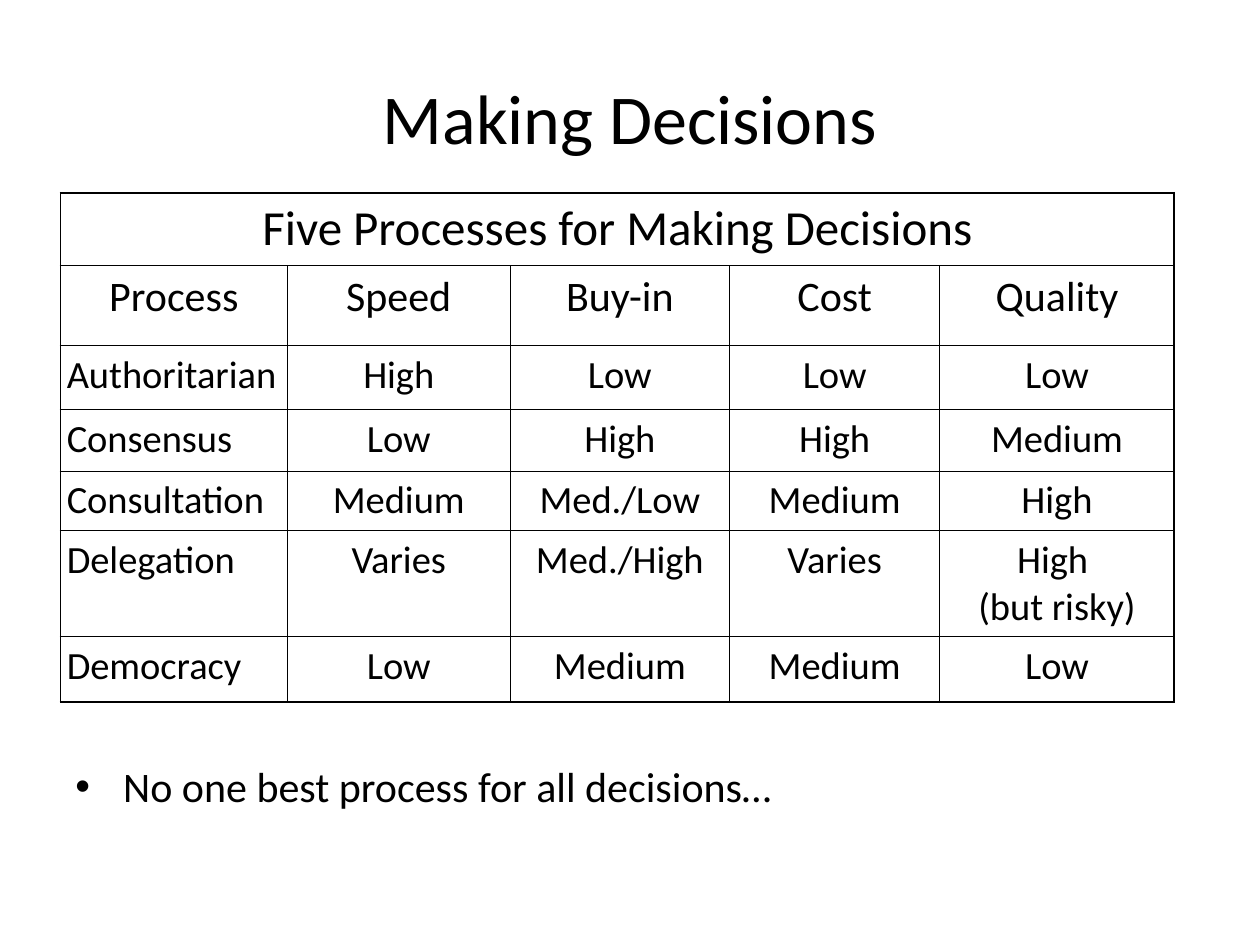
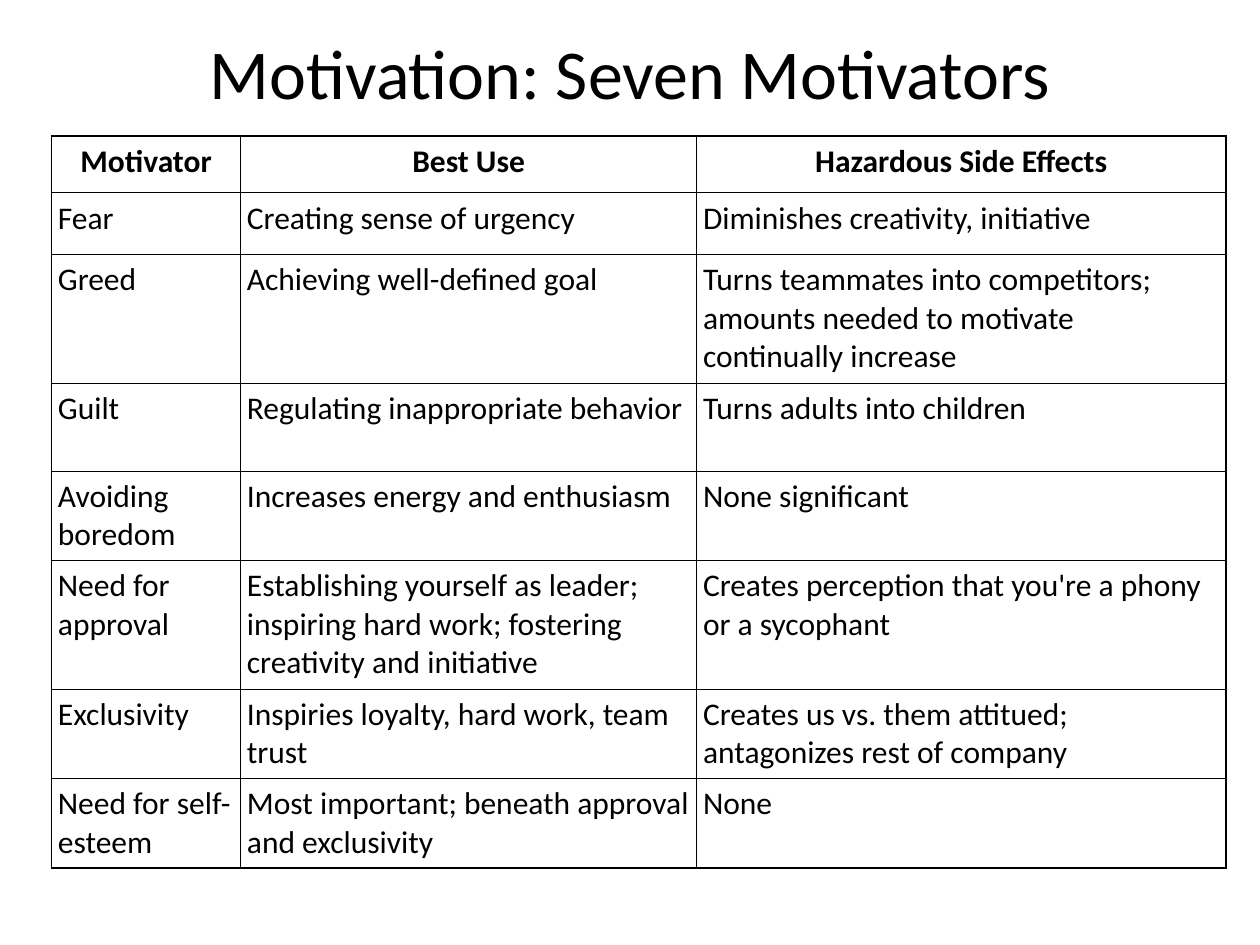
"""Build two slides on making decisions and on motivation, each with a ruled table."""
from dataclasses import dataclass

from lxml.etree import SubElement
from pptx import Presentation
from pptx.dml.color import RGBColor
from pptx.enum.text import MSO_ANCHOR as Anchor, MSO_AUTO_SIZE as AutoSize, PP_ALIGN as Align
from pptx.oxml import parse_xml
from pptx.oxml.ns import nsdecls, qn
from pptx.util import Inches, Pt


@dataclass(frozen=True)
class Theme:
    ink: str = "000000"
    paper: str = "FFFFFF"
    font: str = "Calibri"
    title: int = 40
    banner: int = 28
    heading: int = 24
    entry: int = 22
    small: int = 18
    outer_rule: float = 1.08
    inner_rule: float = 0.45
    space_share: float = 0.25


theme = Theme()
deck = Presentation()
deck.slide_width, deck.slide_height = Inches(10), Inches(7.5)
column, row = deck.slide_width / 100, deck.slide_height / 100


def write(frame, text, size, align, bold=False):
    """Fill the first paragraph of a frame, one run for each line of text."""
    para = frame.paragraphs[0]
    para.alignment = align
    for index, line in enumerate(text.split("\n")):
        if index:
            para.add_line_break()
        span = para.add_run()
        span.text = line
        span.font.name, span.font.size, span.font.bold = theme.font, Pt(size), bold
        span.font.color.rgb = RGBColor.from_string(theme.ink)
    return para


def rule_cell(cell, edges):
    """Draw the four borders of a cell, heavier on the edges of the table."""
    properties = cell._tc.get_or_add_tcPr()
    for index, (side, is_outer) in enumerate(edges.items()):
        width = Pt(theme.outer_rule if is_outer else theme.inner_rule)
        properties.insert(index, parse_xml(
            f'<a:{side} {nsdecls("a")} w="{width}"><a:solidFill>'
            f'<a:srgbClr val="{theme.ink}"/></a:solidFill></a:{side}>'))


decisions = {
    "title": "Making Decisions",
    "title_rows": (4, 16.67),
    "corner": (4.8, 20.4),
    "widths": (18, 17.7, 17.4, 16.7, 18.6),
    "heights": (7.73, 8.4, 6.8, 6.53, 6.27, 11.2, 6.93),
    "sizes": (theme.banner, theme.heading) + (theme.entry,) * 5,
    "heading_rows": 2,
    "bold_headings": False,
    "entry_align": Align.CENTER,
    "cells": (
        ("Five Processes for Making Decisions",),
        ("Process", "Speed", "Buy-in", "Cost", "Quality"),
        ("Authoritarian", "High", "Low", "Low", "Low"),
        ("Consensus", "Low", "High", "High", "Medium"),
        ("Consultation", "Medium", "Med./Low", "Medium", "High"),
        ("Delegation", "Varies", "Med./High", "Varies", "High \n(but risky)"),
        ("Democracy", "Low", "Medium", "Medium", "Low"),
    ),
    "bullet": "No one best process for all decisions…",
}
motivators = {
    "title": "Motivation: Seven Motivators",
    "title_rows": (3.33, 8.4),
    "corner": (4.1, 14.4),
    "widths": (15, 36.2, 42),
    "heights": (6, 6.53, 13.6, 9.33, 9.47, 13.6, 9.47, 9.47),
    "sizes": (theme.small,) * 8,
    "heading_rows": 1,
    "bold_headings": True,
    "entry_align": Align.LEFT,
    "cells": (
        ("Motivator", "Best Use", "Hazardous Side Effects"),
        ("Fear", "Creating sense of urgency", "Diminishes creativity, initiative"),
        ("Greed", "Achieving well-defined goal",
         "Turns teammates into competitors; amounts needed to motivate continually increase"),
        ("Guilt", "Regulating inappropriate behavior", "Turns adults into children"),
        ("Avoiding boredom", "Increases energy and enthusiasm", "None significant"),
        ("Need for approval",
         "Establishing yourself as leader; inspiring hard work; fostering creativity and initiative",
         "Creates perception that you're a phony or a sycophant"),
        ("Exclusivity", "Inspiries loyalty, hard work, team trust",
         "Creates us vs. them attitued; antagonizes rest of company"),
        ("Need for self-esteem", "Most important; beneath approval and exclusivity", "None"),
    ),
    "bullet": None,
}

for content in (decisions, motivators):
    page = deck.slides.add_slide(deck.slide_layouts[5])
    page.background.fill.solid()
    page.background.fill.fore_color.rgb = RGBColor.from_string(theme.paper)

    title = page.shapes.title
    top, height = content["title_rows"]
    title.left, title.top = int(5 * column), int(top * row)
    title.width, title.height = int(90 * column), int(height * row)
    title.text_frame.word_wrap = True
    title.text_frame.auto_size = AutoSize.NONE
    title.text_frame.vertical_anchor = Anchor.MIDDLE
    write(title.text_frame, content["title"], theme.title, Align.CENTER)

    widths, heights = content["widths"], content["heights"]
    left, top = content["corner"]
    table = page.shapes.add_table(
        len(heights), len(widths), int(left * column), int(top * row),
        int(sum(widths) * column), int(sum(heights) * row)).table
    table.first_row = table.horz_banding = False
    for table_column, width in zip(table.columns, widths):
        table_column.width = int(width * column)
    for table_row, height in zip(table.rows, heights):
        table_row.height = int(height * row)

    for y, (texts, size) in enumerate(zip(content["cells"], content["sizes"])):
        if len(texts) == 1:
            table.cell(y, 0).merge(table.cell(y, len(widths) - 1))
        is_heading = y < content["heading_rows"]
        for x, text in enumerate(texts):
            cell = table.cell(y, x)
            cell.margin_left = cell.margin_right = Inches(0.05)
            cell.margin_top = cell.margin_bottom = Inches(0.05)
            cell.fill.background()
            align = Align.CENTER if is_heading else content["entry_align"] if x else Align.LEFT
            para = write(cell.text_frame, text, size, align, is_heading and content["bold_headings"])
            para.space_before = Pt(size * theme.space_share)
            rule_cell(cell, {"lnL": x == 0, "lnR": x == len(texts) - 1,
                             "lnT": y == 0, "lnB": y == len(heights) - 1})

    if content["bullet"]:
        box = page.shapes.add_textbox(
            int(5 * column), int(79.87 * row), int(90 * column), int(9.47 * row))
        box.text_frame.word_wrap = True
        para = write(box.text_frame, content["bullet"], theme.heading, Align.LEFT)
        para.space_before = Pt(theme.heading * theme.space_share)
        properties = para._p.get_or_add_pPr()
        properties.set("marL", str(Inches(0.38)))
        properties.set("indent", str(-Inches(0.38)))
        SubElement(properties, qn("a:buFont"), typeface="Arial")
        SubElement(properties, qn("a:buChar"), char="•")

deck.save("out.pptx")
